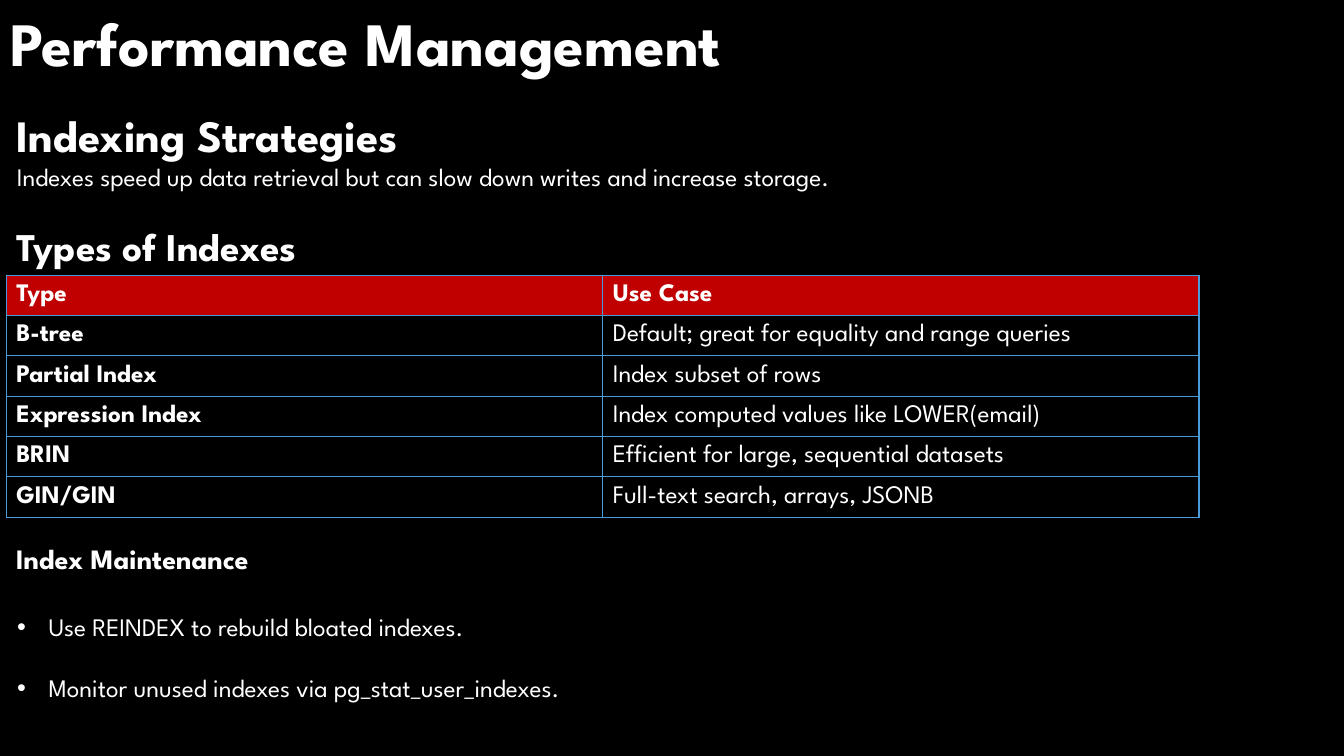
from lxml.etree import SubElement
from pptx import Presentation
from pptx.dml.color import RGBColor
from pptx.enum.text import MSO_ANCHOR as Anchor, MSO_AUTO_SIZE as AutoSize, PP_ALIGN as Align
from pptx.oxml.ns import qn
from pptx.util import Pt

BLACK = RGBColor(0x00, 0x00, 0x00)
WHITE = RGBColor(0xFF, 0xFF, 0xFF)
RED = RGBColor(0xC0, 0x00, 0x00)
BLUE = RGBColor(0x4A, 0x9B, 0xDC)

INDEX_TYPES = [
    ("Type", "Use Case"),
    ("B-tree", "Default; great for equality and range queries"),
    ("Partial Index", "Index subset of rows"),
    ("Expression Index", "Index computed values like LOWER(email)"),
    ("BRIN", "Efficient for large, sequential datasets"),
    ("GIN/GIN", "Full-text search, arrays, JSONB"),
]
MAINTENANCE = [
    "Use REINDEX to rebuild bloated indexes.",
    "Monitor unused indexes via pg_stat_user_indexes.",
]


def write(paragraph, text, font="League Spartan", size=18, bold=False, color=WHITE, before=0):
    paragraph.text = text
    paragraph.alignment = Align.LEFT
    paragraph.space_before = Pt(before)
    paragraph.font.name = font
    paragraph.font.size = Pt(size)
    paragraph.font.bold = bold
    paragraph.font.color.rgb = color


def add_bullet(paragraph, indent):
    properties = paragraph._p.get_or_add_pPr()
    properties.set("marL", str(Pt(indent)))
    properties.set("indent", str(Pt(-indent)))
    SubElement(properties, qn("a:buFont"), typeface="Arial")
    SubElement(properties, qn("a:buChar"), char="•")


def add_borders(cell, color, width):
    properties = cell._tc.get_or_add_tcPr()
    for side in ("lnL", "lnR", "lnT", "lnB"):
        line = SubElement(properties, qn(f"a:{side}"), w=str(Pt(width)))
        fill = SubElement(line, qn("a:solidFill"))
        SubElement(fill, qn("a:srgbClr"), val=str(color))


class SlideBuilder:
    line_gap = 21.8
    bullet_indent = 22.5

    def __init__(self, presentation):
        self.slide = presentation.slides.add_slide(presentation.slide_layouts[1])
        background = self.slide.background.fill
        background.solid()
        background.fore_color.rgb = BLACK

    def place(self, shape, left, top, width, height):
        """Position a text shape and return its frame, set to wrap from the top."""
        shape.left, shape.top = Pt(left), Pt(top)
        shape.width, shape.height = Pt(width), Pt(height)
        frame = shape.text_frame
        frame.word_wrap = True
        frame.auto_size = AutoSize.NONE
        frame.vertical_anchor = Anchor.TOP
        return frame

    def title(self, text, *box):
        frame = self.place(self.slide.shapes.title, *box)
        write(frame.paragraphs[0], text, size=44, bold=True)

    def text(self, paragraphs, *box):
        """Add a text box from (text, format) pairs."""
        frame = self.place(self.slide.shapes.add_textbox(0, 0, 0, 0), *box)
        for number, (text, style) in enumerate(paragraphs):
            paragraph = frame.add_paragraph() if number else frame.paragraphs[0]
            write(paragraph, text, **style)

    def bullets(self, items, *box):
        frame = self.place(self.slide.placeholders[1], *box)
        for number, item in enumerate(items):
            paragraph = frame.add_paragraph() if number else frame.paragraphs[0]
            add_bullet(paragraph, self.bullet_indent)
            write(paragraph, item, before=self.line_gap if number else 0)

    def table(self, rows, left, top, width, row_height):
        """Add a table with a red header row and a bold first column."""
        frame = self.slide.shapes.add_table(
            len(rows), len(rows[0]), Pt(left), Pt(top), Pt(width), Pt(row_height * len(rows)))
        table = frame.table
        table.horz_banding = False
        for row_number, row in enumerate(rows):
            for column_number, text in enumerate(row):
                cell = table.cell(row_number, column_number)
                is_header = row_number == 0
                add_borders(cell, BLUE, 1)
                cell.vertical_anchor = Anchor.MIDDLE
                cell.fill.solid()
                cell.fill.fore_color.rgb = RED if is_header else BLACK
                write(cell.text_frame.paragraphs[0], text, bold=is_header or column_number == 0)


def main():
    presentation = Presentation()
    presentation.slide_width, presentation.slide_height = Pt(960), Pt(540)
    builder = SlideBuilder(presentation)
    builder.title("Performance Management", 0, 0, 813, 60.5)
    builder.text([
        ("Indexing Strategies", {"size": 32, "bold": True}),
        ("Indexes speed up data retrieval but can slow down writes and increase storage.", {}),
        ("Types of Indexes", {"size": 28, "bold": True, "before": builder.line_gap}),
    ], 5, 73.4, 791, 124)
    builder.table(INDEX_TYPES, 4.5, 196.6, 852, 28.8)
    builder.text([("Index Maintenance", {"size": 20, "bold": True})], 4.5, 383, 490, 31.5)
    builder.bullets(MAINTENANCE, 5, 433.4, 490, 72.7)
    presentation.save("out.pptx")


if __name__ == "__main__":
    main()
